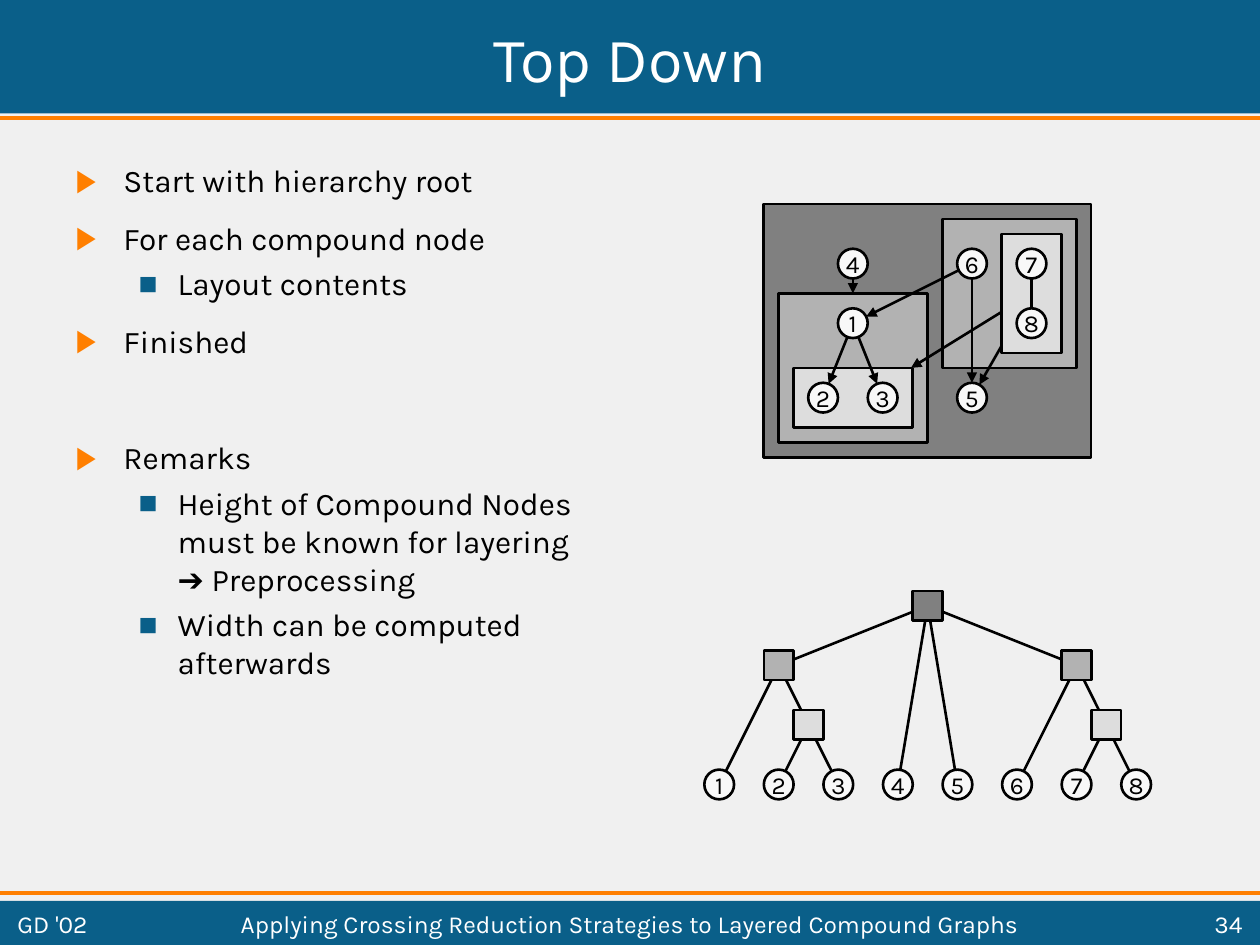
import math

import pptx
import pptx.dml.color
import pptx.enum.shapes
import pptx.enum.text
import pptx.oxml
import pptx.oxml.ns
import pptx.util

Inches = pptx.util.Inches
Pt = pptx.util.Pt
ALIGN = pptx.enum.text.PP_ALIGN
SHAPE = pptx.enum.shapes.MSO_SHAPE

BLUE, ORANGE, WHITE, BLACK = "0A5F89", "FF7F00", "FFFFFF", "000000"
DARK, MEDIUM, LIGHT, NODE = "808080", "B2B2B2", "DDDDDD", "F8F8F8"
UNIT = Inches(2.6) / 22  # grid step shared by both diagrams; a node's radius

FRAME_FORMAT = {
    "margin_left": Inches(0.1), "margin_right": Inches(0.1),
    "margin_top": Inches(0.05), "margin_bottom": Inches(0.05),
    "word_wrap": True,
    "auto_size": pptx.enum.text.MSO_AUTO_SIZE.NONE,
    "vertical_anchor": pptx.enum.text.MSO_ANCHOR.MIDDLE,
}
# Bullet, its colour, left margin and hanging indent for each level
BULLETS = [("▶", ORANGE, 0.38, 0.38), ("■", BLUE, 0.81, 0.31)]


def color(hex_string):
    return pptx.dml.color.RGBColor.from_string(hex_string)


def set_format(target, values):
    for name, value in values.items():
        setattr(target, name, value)


def add_xml(parent, tag, **attributes):
    child = pptx.oxml.ns.qn(tag)
    element = parent.makeelement(child, attributes)
    parent.append(element)
    return element


def add_run(paragraph, text, size, hex_string, font="Karla"):
    run = paragraph.add_run()
    run.text = text
    set_format(run.font, {"name": font, "size": Pt(size)})
    run.font.color.rgb = color(hex_string)


def write_line(shape, text, size, hex_string, alignment, **changes):
    set_format(shape.text_frame, {**FRAME_FORMAT, **changes})
    paragraph = shape.text_frame.paragraphs[0]
    paragraph.alignment = alignment
    add_run(paragraph, text, size, hex_string)


def add_shape(slide, kind, box, fill, outline=True):
    shape = slide.shapes.add_shape(kind, *(round(length) for length in box))
    shape.shadow.inherit = False
    shape.fill.solid()
    shape.fill.fore_color.rgb = color(fill)
    if outline:
        shape.line.color.rgb = color(BLACK)
        shape.line.width = Pt(1.5)
    else:
        shape.line.fill.background()
    return shape


def add_line(slide, start, end, hex_string=BLACK, width=1.5, arrow=False):
    connector = slide.shapes.add_connector(
        pptx.enum.shapes.MSO_CONNECTOR.STRAIGHT,
        *(round(length) for length in (*start, *end)))
    connector.line.color.rgb = color(hex_string)
    connector.line.width = Pt(width)
    if arrow:
        add_xml(connector.line._get_or_add_ln(), "a:tailEnd", type="triangle")
    add_xml(connector.element.spPr, "a:effectLst")


def on_grid(box, x, y):
    return box[0] + x * UNIT, box[1] + y * UNIT


def add_block(slide, box, x, y, width, height, fill):
    area = (*on_grid(box, x, y), width * UNIT, height * UNIT)
    add_shape(slide, SHAPE.RECTANGLE, area, fill)


def add_node(slide, box, label, center):
    x, y = center
    area = (*on_grid(box, x - 1, y - 1), 2 * UNIT, 2 * UNIT)
    node = add_shape(slide, SHAPE.OVAL, area, NODE)
    write_line(node, label, 14, BLACK, ALIGN.CENTER, word_wrap=False)


def build_bands(slide, box):
    left, top, width, height = box
    bands = [(top, Inches(0.9), Inches(0.94)),
             (top + height - Inches(0.35), Inches(0.35), Inches(7.09))]
    for band_top, band_height, _ in bands:
        add_shape(slide, SHAPE.RECTANGLE, (left, band_top, width, band_height),
                  BLUE, outline=False)
    for _, _, rule_top in bands:
        add_line(slide, (left, top + rule_top), (left + width, top + rule_top),
                 ORANGE, 2.25)


def place(shape, box):
    set_format(shape, dict(zip(("left", "top", "width", "height"), box)))


def build_title(slide, box):
    title = slide.shapes.title
    place(title, box)
    write_line(title, "Top Down", 36, WHITE, ALIGN.CENTER)
    slide.shapes.element.append(title.element)  # in front of the band


def build_list(slide, box):
    body = slide.placeholders[1]
    place(body, box)
    frame = body.text_frame
    set_format(frame, {**FRAME_FORMAT,
                       "vertical_anchor": pptx.enum.text.MSO_ANCHOR.TOP})
    items = [  # level, space before, text
        (0, 0, "Start with hierarchy root"),
        (0, 11.2, "For each compound node"),
        (1, 4.5, "Layout contents"),
        (0, 11.2, "Finished"),
        (0, 45, "Remarks"),
        (1, 4.5, "Height of Compound Nodes must be known for layering\n➔ Preprocessing"),
        (1, 4.5, "Width can be computed afterwards"),
    ]
    for index, (level, space, text) in enumerate(items):
        paragraph = frame.add_paragraph() if index else frame.paragraphs[0]
        bullet, bullet_color, margin, hanging = BULLETS[level]
        properties = paragraph._p.get_or_add_pPr()
        properties.set("marL", str(Inches(margin)))
        properties.set("indent", str(-Inches(hanging)))
        add_xml(add_xml(properties, "a:buClr"), "a:srgbClr", val=bullet_color)
        add_xml(properties, "a:buFont", typeface="Arial")
        add_xml(properties, "a:buChar", char=bullet)
        set_format(paragraph, {"level": level, "space_before": Pt(space),
                               "alignment": ALIGN.LEFT})
        first_line, _, second_line = text.partition("\n")
        add_run(paragraph, first_line, 18, BLACK)
        if second_line:
            paragraph.add_line_break()
            add_run(paragraph, second_line[0], 18, BLACK, "Arial")
            add_run(paragraph, second_line[1:], 18, BLACK)


def build_compound_graph(slide, box):
    nodes = {"1": (6, 8), "2": (4, 13), "3": (8, 13), "4": (6, 4),
             "5": (14, 13), "6": (14, 4), "7": (18, 4), "8": (18, 8)}

    def arrow(start, end):
        add_line(slide, on_grid(box, *start), on_grid(box, *end), arrow=True)

    def arrow_to_node(start, label):
        x, y = nodes[label]
        distance = math.dist(start, (x, y))
        arrow(start, (x + (start[0] - x) / distance, y + (start[1] - y) / distance))

    # Blocks cover the arrows that leave from inside them
    inner_center = (18, 6)
    add_block(slide, box, 0, 0, 22, 17, DARK)
    arrow(nodes["4"], (6, 6))
    add_block(slide, box, 12, 1, 9, 10, MEDIUM)
    arrow_to_node(inner_center, "5")
    add_block(slide, box, 1, 6, 10, 10, MEDIUM)
    arrow(inner_center, (9.9, 11))
    add_block(slide, box, 2, 11, 8, 4, LIGHT)
    for source, target in ("13", "12", "61", "65"):
        arrow_to_node(nodes[source], target)
    add_block(slide, box, 16, 2, 4, 8, LIGHT)
    arrow(nodes["7"], nodes["8"])
    for label, center in nodes.items():
        add_node(slide, box, label, center)


def build_tree(slide, box):
    blocks = {"root": (15, 1, DARK), "left": (5, 5, MEDIUM), "right": (25, 5, MEDIUM),
              "inner left": (7, 9, LIGHT), "inner right": (27, 9, LIGHT)}
    leaves = {str(number): (4 * number - 3, 13) for number in range(1, 9)}
    children = {"root": ["left", "4", "5", "right"],
                "left": ["1", "inner left"], "inner left": ["2", "3"],
                "right": ["6", "inner right"], "inner right": ["7", "8"]}
    centers = {**leaves, **{name: (x, y) for name, (x, y, _) in blocks.items()}}
    for parent, names in children.items():
        for name in names:
            add_line(slide, on_grid(box, *centers[name]), on_grid(box, *centers[parent]))
    for x, y, fill in blocks.values():
        add_block(slide, box, x - 1, y - 1, 2, 2, fill)
    for label, center in leaves.items():
        add_node(slide, box, label, center)


def build_footer(slide, box):
    left, top, _, height = box
    parts = [
        (0, 1.18, "GD '02", ALIGN.LEFT),
        (1.26, 7.4, "Applying Crossing Reduction Strategies to Layered Compound Graphs",
         ALIGN.CENTER),
        (8.74, 1.18, "34", ALIGN.RIGHT),
    ]
    for offset, width, text, alignment in parts:
        textbox = slide.shapes.add_textbox(left + Inches(offset), top, Inches(width), height)
        write_line(textbox, text, 14, WHITE, alignment)


def main():
    presentation = pptx.Presentation()
    presentation.slide_width, presentation.slide_height = Inches(10), Inches(7.5)
    slide = presentation.slides.add_slide(presentation.slide_layouts[1])
    slide.background.fill.solid()
    slide.background.fill.fore_color.rgb = color("F0F0F0")
    regions = [
        (build_bands, (0, 0, 10, 7.5)),
        (build_title, (0.04, 0.04, 9.92, 0.83)),
        (build_list, (0.5, 1.23, 4.42, 5.67)),
        (build_compound_graph, (6.06, 1.62, 2.6, 2.01)),
        (build_tree, (5.59, 4.69, 3.55, 1.66)),
        (build_footer, (0.04, 7.19, 9.92, 0.28)),
    ]
    for build, box in regions:
        build(slide, [Inches(length) for length in box])
    presentation.save("out.pptx")


if __name__ == "__main__":
    main()
